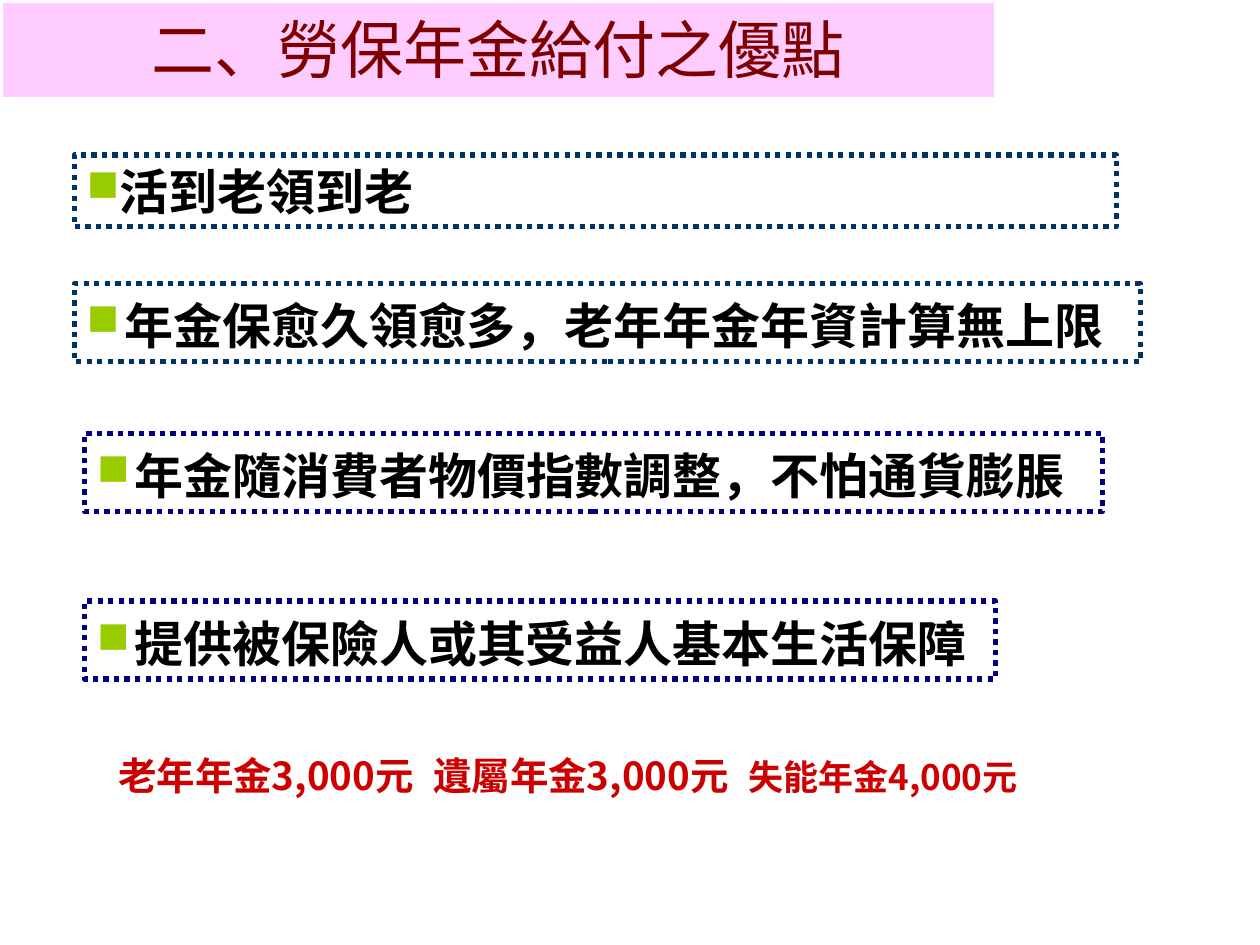
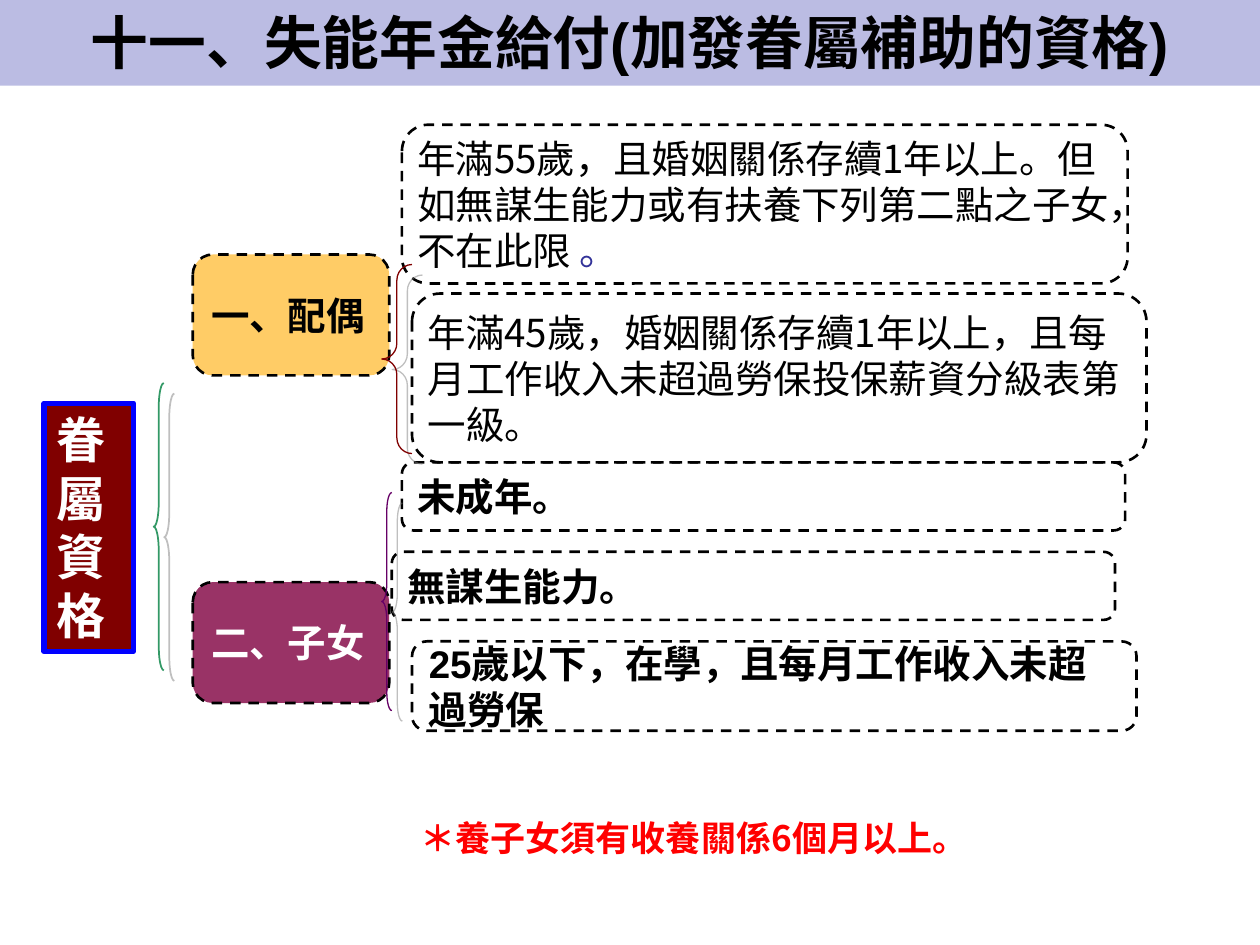
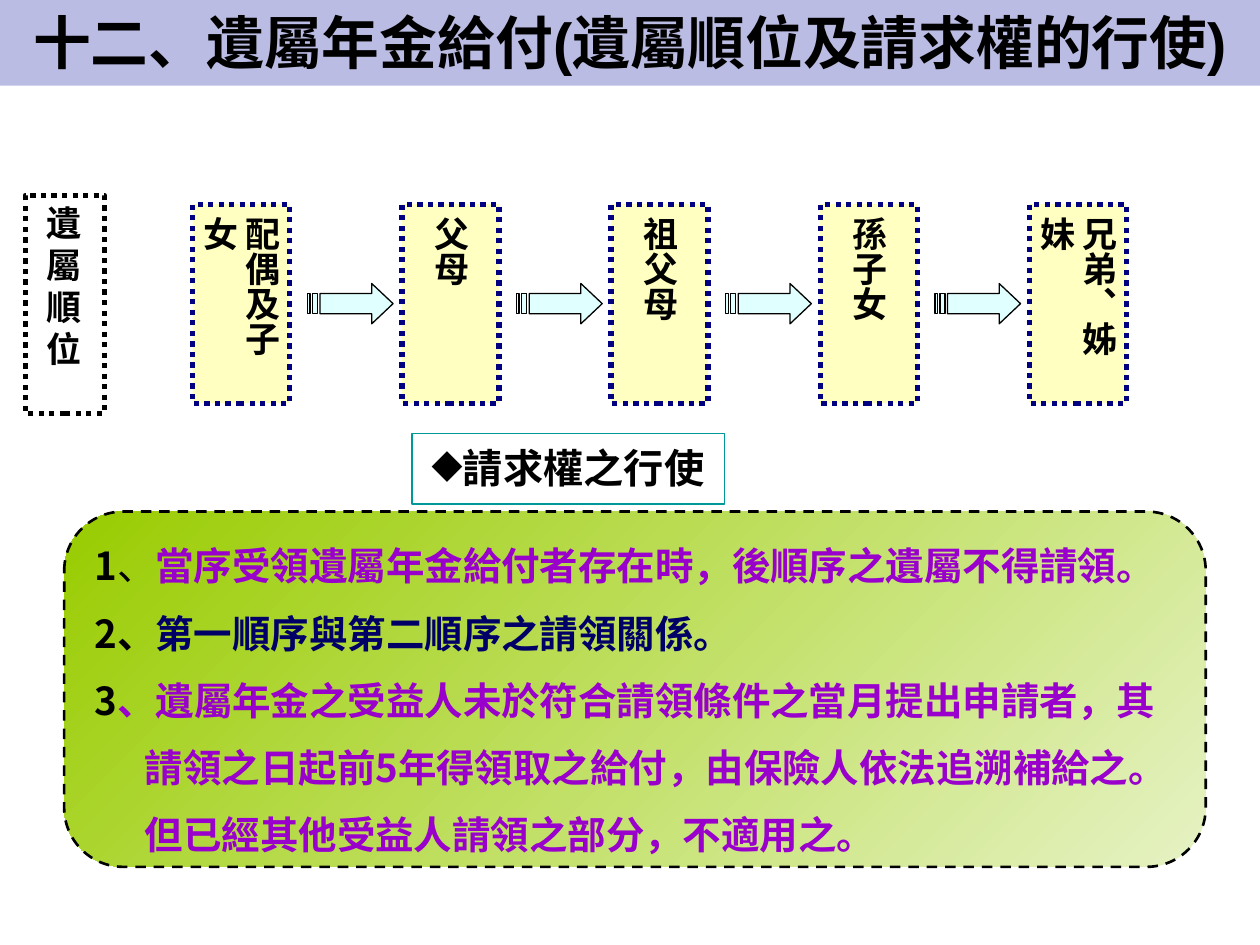
"""Build three slides on the labour insurance annuity."""
from dataclasses import dataclass
from typing import Optional

import lxml.etree
import pptx
import pptx.dml.color
import pptx.enum.dml
import pptx.enum.shapes
import pptx.enum.text
import pptx.oxml.ns
import pptx.presentation
import pptx.shapes.autoshape
import pptx.slide
import pptx.text.text
import pptx.util
from pptx.dml.color import RGBColor
from pptx.util import Inches

BLACK = RGBColor(0x00, 0x00, 0x00)
WHITE = RGBColor(0xFF, 0xFF, 0xFF)
BAND = RGBColor(0xBB, 0xBC, 0xE3)
PINK = RGBColor(0xFF, 0xCC, 0xFF)
MAROON = RGBColor(0x80, 0x00, 0x00)
NAVY = RGBColor(0x00, 0x00, 0x80)
STEEL = RGBColor(0x00, 0x33, 0x66)
LIME = RGBColor(0x99, 0xCC, 0x00)
PALE_LIME = RGBColor(0xE6, 0xF2, 0xC4)
CRIMSON = RGBColor(0xCC, 0x00, 0x00)
RED = RGBColor(0xFF, 0x00, 0x00)
BLUE = RGBColor(0x00, 0x00, 0xFF)
INDIGO = RGBColor(0x33, 0x33, 0x99)
AMBER = RGBColor(0xFF, 0xCC, 0x66)
PLUM = RGBColor(0x99, 0x33, 0x66)
PURPLE = RGBColor(0x66, 0x00, 0x66)
GREEN = RGBColor(0x33, 0x99, 0x66)
TEAL = RGBColor(0x00, 0x99, 0x99)
CREAM = RGBColor(0xFF, 0xFF, 0x99)
ICE = RGBColor(0xCC, 0xFF, 0xFF)
VIOLET = RGBColor(0x99, 0x00, 0xCC)
MIDNIGHT = RGBColor(0x00, 0x00, 0x66)

LATIN = "Arial"
CJK = "Noto Sans CJK TC"
VERTICAL_FONT = "DejaVu Sans"
LINE_HEIGHT = 1.2

RECT = pptx.enum.shapes.MSO_SHAPE.RECTANGLE
ROUNDED = pptx.enum.shapes.MSO_SHAPE.ROUNDED_RECTANGLE
BRACE = pptx.enum.shapes.MSO_SHAPE.LEFT_BRACE
DOTTED = pptx.enum.dml.MSO_LINE.ROUND_DOT
DASHED = pptx.enum.dml.MSO_LINE.DASH
CENTER = pptx.enum.text.PP_ALIGN.CENTER
LEFT = pptx.enum.text.PP_ALIGN.LEFT
TOP = pptx.enum.text.MSO_ANCHOR.TOP
MIDDLE = pptx.enum.text.MSO_ANCHOR.MIDDLE


@dataclass(frozen=True)
class Place:
    """Left, top, width and height in inches."""

    left: float
    top: float
    width: float
    height: float

    def lengths(self) -> tuple:
        """Return the four values as lengths."""
        return tuple(map(Inches, (self.left, self.top, self.width, self.height)))


@dataclass(frozen=True)
class Words:
    """A run of text with its look."""

    text: str
    size: float
    color: RGBColor = BLACK
    font: str = LATIN
    bold: bool = True


@dataclass(frozen=True)
class Layout:
    """Paragraph settings; lengths are in inches."""

    align: pptx.enum.text.PP_ALIGN = LEFT
    hanging: float = 0
    spacing: float = 1
    bullet: str = ""
    bullet_color: RGBColor = BLACK
    bullet_percent: int = 100
    tabs: tuple[float, ...] = ()


@dataclass(frozen=True)
class Outline:
    """Colour, width in points and dash of a border."""

    color: RGBColor
    width: float
    dash: Optional[pptx.enum.dml.MSO_LINE] = None


@dataclass(frozen=True)
class Condition:
    """A dashed box that states who qualifies."""

    place: Place
    runs: tuple[Words, ...]
    inset: float = 0.1


@dataclass(frozen=True)
class Brace:
    """A brace that joins a group with its members."""

    place: Place
    color: RGBColor
    width: float


DASHED_BLACK = Outline(BLACK, 1.5, DASHED)


def add_child(parent: lxml.etree._Element, tag: str, **attributes: str) -> lxml.etree._Element:
    """Append a namespaced child element."""
    return lxml.etree.SubElement(parent, pptx.oxml.ns.qn(tag), attributes)


def format_paragraph(paragraph: pptx.text.text._Paragraph, layout: Layout, size: float) -> None:
    """Set bullet, tabs, indent, alignment and spacing."""
    properties = paragraph._p.get_or_add_pPr()
    properties.set("marL", str(Inches(layout.hanging)))
    properties.set("indent", str(-Inches(layout.hanging)))
    if layout.bullet:
        add_child(add_child(properties, "a:buClr"), "a:srgbClr", val=str(layout.bullet_color))
        add_child(properties, "a:buSzPct", val=str(layout.bullet_percent * 1000))
        add_child(properties, "a:buChar", char=layout.bullet)
    else:
        add_child(properties, "a:buNone")
    if layout.tabs:
        stops = add_child(properties, "a:tabLst")
        for stop in layout.tabs:
            add_child(stops, "a:tab", pos=str(Inches(stop)), algn="l")
    paragraph.alignment = layout.align
    paragraph.space_before = pptx.util.Pt(0)
    paragraph.line_spacing = pptx.util.Pt(round(size * LINE_HEIGHT * layout.spacing, 1))


def write(
    frame: pptx.text.text.TextFrame,
    paragraphs: list[tuple[Words, ...]],
    layout: Layout = Layout(),
    anchor: pptx.enum.text.MSO_ANCHOR = MIDDLE,
    inset: tuple[float, float] = (0.1, 0.05),
) -> None:
    """Fill a text frame with paragraphs, run by run."""
    frame.word_wrap = True
    frame.auto_size = pptx.enum.text.MSO_AUTO_SIZE.NONE
    frame.vertical_anchor = anchor
    frame.margin_left = frame.margin_right = Inches(inset[0])
    frame.margin_top = frame.margin_bottom = Inches(inset[1])
    for index, runs in enumerate(paragraphs):
        paragraph = frame.add_paragraph() if index else frame.paragraphs[0]
        format_paragraph(paragraph, layout, runs[0].size)
        for words in runs:
            run = paragraph.add_run()
            run.text = words.text
            run.font.size = pptx.util.Pt(words.size)
            run.font.bold = words.bold
            run.font.color.rgb = words.color
            run.font.name = words.font
            add_child(run._r.get_or_add_rPr(), "a:ea", typeface=CJK)


def paint(
    shape: pptx.shapes.autoshape.Shape,
    fill: Optional[RGBColor] = None,
    outline: Optional[Outline] = None,
    opacity: int = 100,
) -> None:
    """Set fill and border, and drop the shadow."""
    shape.shadow.inherit = False
    if fill is None:
        shape.fill.background()
    else:
        shape.fill.solid()
        shape.fill.fore_color.rgb = fill
        if opacity < 100:
            color = shape.fill._xPr.find(".//" + pptx.oxml.ns.qn("a:srgbClr"))
            add_child(color, "a:alpha", val=str(opacity * 1000))
    if outline is None:
        shape.line.fill.background()
    else:
        shape.line.color.rgb = outline.color
        shape.line.width = pptx.util.Pt(outline.width)
        if outline.dash is not None:
            shape.line.dash_style = outline.dash


def add_box(
    slide: pptx.slide.Slide,
    place: Place,
    outline: Outline,
    fill: Optional[RGBColor] = None,
    kind: pptx.enum.shapes.MSO_SHAPE = RECT,
    opacity: int = 100,
) -> pptx.shapes.autoshape.Shape:
    """Add a painted box."""
    box = slide.shapes.add_shape(kind, *place.lengths())
    paint(box, fill, outline, opacity)
    return box


def add_note(
    slide: pptx.slide.Slide, place: Place, runs: tuple[Words, ...], layout: Layout, anchor: pptx.enum.text.MSO_ANCHOR
) -> None:
    """Add text without a frame."""
    write(slide.shapes.add_textbox(*place.lengths()).text_frame, [runs], layout, anchor)


def move(shape: pptx.shapes.autoshape.Shape, place: Place) -> None:
    """Place a placeholder."""
    shape.left, shape.top, shape.width, shape.height = place.lengths()


def add_slide(
    deck: pptx.presentation.Presentation,
    layout_index: int,
    heading: Words,
    place: Place = Place(0, 0, 10, 0.68),
    fill: RGBColor = BAND,
    outline: Optional[Outline] = None,
) -> pptx.slide.Slide:
    """Add a slide with a title band."""
    slide = deck.slides.add_slide(deck.slide_layouts[layout_index])
    title = slide.shapes.title
    move(title, place)
    paint(title, fill, outline)
    write(title.text_frame, [(heading,)], Layout(CENTER, spacing=0.95), inset=(0.05, 0.05))
    return slide


def add_brace(slide: pptx.slide.Slide, brace: Brace) -> None:
    """Add a brace with a grey offset shadow."""
    shape = slide.shapes.add_shape(BRACE, *brace.place.lengths())
    shape.adjustments[0] = brace.place.height / 12 / brace.place.width
    paint(shape, outline=Outline(brace.color, brace.width))
    effects = shape._element.spPr.find(pptx.oxml.ns.qn("a:effectLst"))
    shadow = add_child(effects, "a:outerShdw", dist=str(pptx.util.Pt(8.5)), dir="2700000", algn="ctr", rotWithShape="0")
    add_child(add_child(shadow, "a:srgbClr", val="808080"), "a:alpha", val="50000")


def add_striped_arrow(slide: pptx.slide.Slide, left: float, top: float) -> None:
    """Add an arrow whose tail has two stripes."""
    head = [(0.51, 0), (0.51, 0.08), (0.1, 0.08), (0.1, 0.24), (0.51, 0.24), (0.51, 0.32), (0.68, 0.16)]
    stripes = [
        [(start, 0.08), (start, 0.24), (end, 0.24), (end, 0.08)] for start, end in ((0.04, 0.08), (0, 0.02))
    ]
    contours = [[(Inches(left + x), Inches(top + y)) for x, y in part] for part in (head, *stripes)]
    builder = slide.shapes.build_freeform(*contours[0][0])
    builder.add_line_segments(contours[0][1:], close=True)
    for contour in contours[1:]:
        builder.move_to(*contour[0])
        builder.add_line_segments(contour[1:], close=True)
    paint(builder.convert_to_shape(), ICE, Outline(BLACK, 0.75), opacity=60)


def build_advantages(deck: pptx.presentation.Presentation) -> None:
    """Build the slide on the advantages of the annuity."""
    slide = add_slide(
        deck, 5, Words("二、勞保年金給付之優點", 36, MAROON, bold=False),
        Place(0, 0, 7.91, 0.79), PINK, Outline(WHITE, 3),
    )
    advantages = [
        (Place(0.59, 1.23, 8.27, 0.57), STEEL, "活到老領到老", CJK, 0, 1),
        (Place(0.59, 2.25, 8.46, 0.62), STEEL, "年金保愈久領愈多，老年年金年資計算無上限", LATIN, 0.3, 1.1),
        (Place(0.67, 3.44, 8.08, 0.62), NAVY, "年金隨消費者物價指數調整，不怕通貨膨脹", LATIN, 0.3, 1.1),
        (Place(0.67, 4.77, 7.23, 0.62), NAVY, "提供被保險人或其受益人基本生活保障", CJK, 0.3, 1.1),
    ]
    for place, color, text, font, hanging, spacing in advantages:
        box = add_box(slide, place, Outline(color, 3, DOTTED))
        layout = Layout(hanging=hanging, spacing=spacing, bullet="■", bullet_color=LIME, bullet_percent=90)
        write(box.text_frame, [(Words(text, 28, font=font),)], layout, TOP)
    minimums = (
        Words("老年年金3,000元\t遺屬年金3,000元\t", 22, CRIMSON, CJK),
        Words("失能年金4,000元", 20, CRIMSON, CJK),
    )
    add_note(slide, Place(0.84, 5.88, 8.33, 0.51), minimums, Layout(spacing=1.1, tabs=(2.77, 5.54)), TOP)


def build_dependants(deck: pptx.presentation.Presentation) -> None:
    """Build the slide on which dependants qualify."""
    slide = add_slide(deck, 5, Words("十一、失能年金給付(加發眷屬補助的資格)", 33))
    note = (Words("＊養子女須有收養關係6個月以上。", 20, RED, CJK),)
    add_note(slide, Place(3.24, 6.25, 4.8, 0.76), note, Layout(spacing=1.1), MIDDLE)

    root = add_box(slide, Place(0.35, 3.2, 0.71, 1.97), Outline(BLUE, 3), MAROON)
    write(root.text_frame, [(Words("眷屬資格", 28, WHITE),)], anchor=TOP)

    groups = [("一、配偶", 2.02, AMBER, BLACK), ("二、子女", 4.62, PLUM, WHITE)]
    for text, top, fill, color in groups:
        group = add_box(slide, Place(1.53, top, 1.56, 0.96), DASHED_BLACK, fill, ROUNDED)
        write(group.text_frame, [(Words(text, 22, color),)], Layout(hanging=0.4))

    conditions = [
        Condition(
            Place(3.19, 0.99, 5.76, 1.26),
            (
                Words(
                    "年滿55歲，且婚姻關係存續1年以上。但如無謀生能力或有扶養下列第二點之子女，不在此限",
                    22, font=CJK, bold=False,
                ),
                Words(" 。", 22, INDIGO, CJK, False),
            ),
            0.06,
        ),
        Condition(
            Place(3.27, 2.33, 5.83, 1.34),
            (
                Words(
                    "年滿45歲，婚姻關係存續1年以上，且每月工作收入未超過勞保投保薪資分級表第一級。",
                    22, font=CJK, bold=False,
                ),
            ),
            0.06,
        ),
        Condition(Place(3.19, 3.67, 5.74, 0.54), (Words("未成年。", 22),)),
        Condition(Place(3.11, 4.38, 5.74, 0.54), (Words("無謀生能力。", 22),)),
        Condition(Place(3.27, 5.09, 5.75, 0.71), (Words("25歲以下，在學，且每月工作收入未超過勞保", 22),)),
    ]
    for condition in conditions:
        box = add_box(slide, condition.place, DASHED_BLACK, kind=ROUNDED)
        write(box.text_frame, [condition.runs], inset=(condition.inset, 0.05))

    for brace in (
        Brace(Place(3.03, 2.1, 0.24, 1.5), MAROON, 0.75),
        Brace(Place(3.03, 3.91, 0.08, 1.73), PURPLE, 0.75),
        Brace(Place(1.22, 3.04, 0.08, 2.28), GREEN, 1),
    ):
        add_brace(slide, brace)


def build_survivors(deck: pptx.presentation.Presentation) -> None:
    """Build the slide on the order of survivors and their claims."""
    slide = add_slide(deck, 1, Words("十二、遺屬年金給付(遺屬順位及請求權的行使)", 33))
    subheading = add_box(slide, Place(3.27, 3.44, 2.48, 0.56), Outline(TEAL, 0.75))
    write(subheading.text_frame, [(Words("請求權之行使", 23),)], Layout(CENTER, spacing=0.95, bullet="◆"))

    first_left, pitch = 1.53, 1.66
    for rank, survivors in enumerate(("配偶及子女", "父母", "祖父母", "孫子女", "兄弟、姊妹")):
        left = first_left + rank * pitch
        if rank:
            add_striped_arrow(slide, left - 0.75, 2.25)
        box = add_box(slide, Place(left, 1.62, 0.77, 1.58), Outline(NAVY, 3, DOTTED), CREAM, opacity=60)
        write(box.text_frame, [(Words(survivors, 20, font=VERTICAL_FONT),)], inset=(0.05, 0.1))
        box.text_frame._txBody.bodyPr.set("vert", "eaVert")

    order = (Words("遺屬順位", 20, font=VERTICAL_FONT),)
    add_note(slide, Place(0.27, 1.55, 0.39, 1.44), order, Layout(), TOP)
    add_box(slide, Place(0.2, 1.55, 0.63, 1.73), Outline(BLACK, 3, DOTTED))

    panel = add_box(slide, Place(0.51, 4.06, 9.06, 2.82), DASHED_BLACK, kind=ROUNDED)
    panel.fill.gradient()
    panel.fill.gradient_angle = 135
    for stop, color in zip(panel.fill.gradient_stops, (PALE_LIME, LIME)):
        stop.color.rgb = color
    rules = slide.placeholders[1]
    rules.element.addprevious(panel.element)
    move(rules, Place(0.65, 4.06, 8.78, 2.82))
    claims = [
        (
            Words("1", 22, font=CJK),
            Words("、", 22, font=CJK, bold=False),
            Words("當序受領遺屬年金給付者存在時，後順序之遺屬不得請領。", 22, VIOLET, CJK),
        ),
        (Words("2、", 22, font=CJK), Words("第一順序與第二順序之請領關係。", 22, MIDNIGHT, CJK)),
        (
            Words("3", 22, font=CJK),
            Words(
                "、遺屬年金之受益人未於符合請領條件之當月提出申請者，其請領之日起前5年得領取之給付，"
                "由保險人依法追溯補給之。但已經其他受益人請領之部分，不適用之。",
                22, VIOLET, CJK,
            ),
        ),
    ]
    write(rules.text_frame, claims, Layout(hanging=0.4, spacing=1.45))


def main() -> None:
    """Build and save the deck."""
    deck = pptx.Presentation()
    deck.slide_width, deck.slide_height = Inches(10), Inches(7.5)
    build_advantages(deck)
    build_dependants(deck)
    build_survivors(deck)
    deck.save("out.pptx")


if __name__ == "__main__":
    main()
